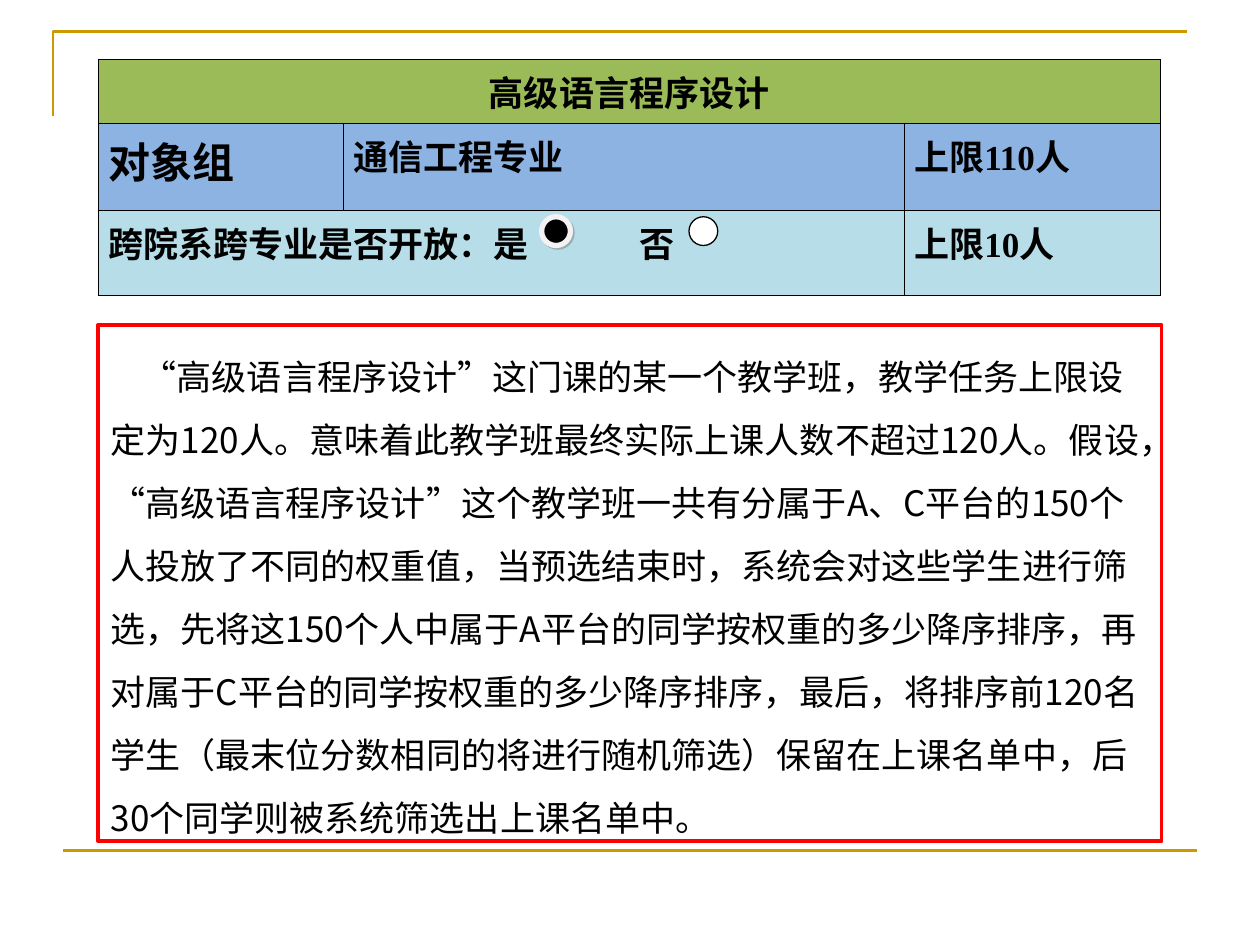
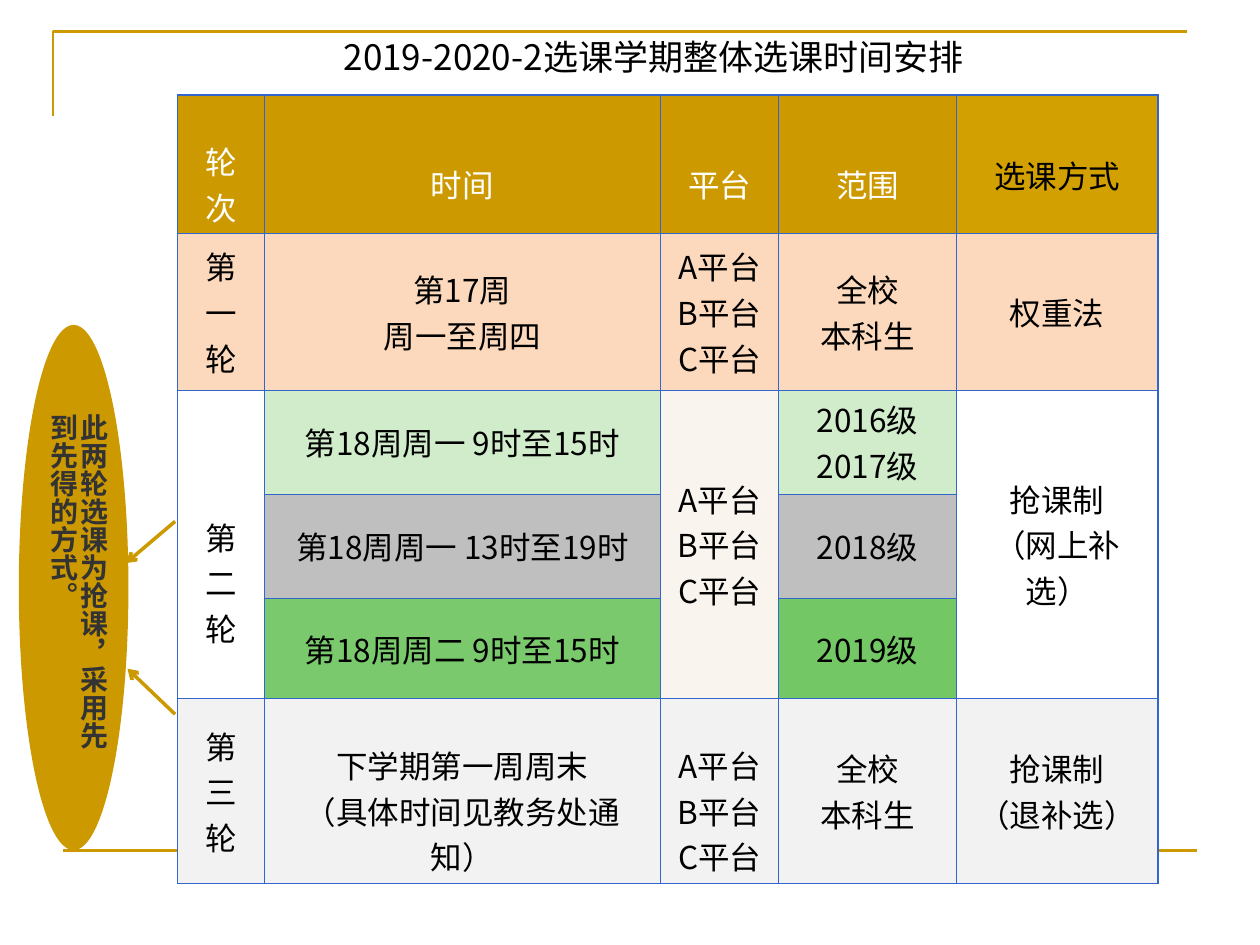
from dataclasses import dataclass

from lxml import etree
from pptx import Presentation
from pptx.dml.color import RGBColor
from pptx.enum.shapes import MSO_CONNECTOR, MSO_SHAPE
from pptx.enum.text import MSO_ANCHOR, MSO_AUTO_SIZE, PP_ALIGN
from pptx.oxml.ns import qn
from pptx.util import Cm, Pt

OVAL, RECTANGLE = MSO_SHAPE.OVAL, MSO_SHAPE.RECTANGLE
STRAIGHT = MSO_CONNECTOR.STRAIGHT
TOP, MIDDLE = MSO_ANCHOR.TOP, MSO_ANCHOR.MIDDLE
NO_AUTOFIT = MSO_AUTO_SIZE.NONE
LEFT, CENTER, JUSTIFY = PP_ALIGN.LEFT, PP_ALIGN.CENTER, PP_ALIGN.JUSTIFY


@dataclass(frozen=True)
class Theme:
    """Colours, fonts and type sizes of the deck."""
    gold: str = "CC9900"
    bright_gold: str = "D2A000"
    black: str = "000000"
    white: str = "FFFFFF"
    charcoal: str = "333333"
    red: str = "FF0000"
    rim: str = "F2F2F2"
    shade: str = "7F7F7F"
    grid: str = "3366CC"
    course: str = "9BBB59"
    group: str = "8DB3E2"
    open_group: str = "B6DDE8"
    first_round: str = "FCD9BC"
    platforms: str = "F9F4EE"
    seniors: str = "D0ECCB"
    second_years: str = "BFBFBF"
    freshmen: str = "7AC96C"
    freshmen_scope: str = "73C764"
    third_round: str = "F2F2F2"
    sans: str = "Noto Sans CJK SC"
    serif: str = "Times New Roman"
    heading: int = 24
    body: int = 20
    cell: int = 18
    note: int = 16


THEME = Theme()


@dataclass(frozen=True)
class Box:
    """A rectangle in centimetres."""
    left: float
    top: float
    width: float
    height: float

    def lengths(self):
        """Return left, top, width and height as lengths."""
        return Cm(self.left), Cm(self.top), Cm(self.width), Cm(self.height)

    def inner_box(self, left, top, width, height):
        """Return a box placed relative to this one."""
        return Box(self.left + left, self.top + top, width, height)


def rgb(colour):
    """Turn a hex string into a colour."""
    return RGBColor.from_string(colour)


def style(para, size, colour=THEME.black, font=THEME.sans, bold=False, align=LEFT):
    """Format a whole paragraph, East Asian font included."""
    para.alignment = align
    para.font.size, para.font.bold = Pt(size), bold
    para.font.color.rgb = rgb(colour)
    para.font.name = font
    defaults = para._p.pPr.find(qn("a:defRPr"))
    etree.SubElement(defaults, qn("a:ea"), typeface=THEME.sans)


def set_margins(target, left, top, right, bottom):
    """Set the four text margins of a frame or cell."""
    target.margin_left, target.margin_top = Cm(left), Cm(top)
    target.margin_right, target.margin_bottom = Cm(right), Cm(bottom)


def paint(shape, fill=None, line=None, width=1):
    """Give a shape a flat fill and outline, without shadow."""
    shape.shadow.inherit = False
    if fill:
        shape.fill.solid()
        shape.fill.fore_color.rgb = rgb(fill)
    else:
        shape.fill.background()
    if line:
        shape.line.color.rgb = rgb(line)
        shape.line.width = Pt(width)
    else:
        shape.line.fill.background()


def add_line(page, start, end, width, arrow=False):
    """Draw a straight gold line, with an arrowhead if wanted."""
    line = page.shapes.add_connector(STRAIGHT, *map(Cm, start + end))
    line.line.color.rgb = rgb(THEME.gold)
    line.line.width = Pt(width)
    properties = line._element.spPr
    if arrow:
        etree.SubElement(properties.find(qn("a:ln")), qn("a:tailEnd"), type="arrow")
    etree.SubElement(properties, qn("a:effectLst"))


def add_frame(page, box):
    """Draw the gold corner and the lower rule shared by all pages."""
    right, corner = box.left + box.width, box.top + 1.7
    outline = page.shapes.build_freeform(Cm(box.left), Cm(corner))
    outline.add_line_segments(
        [(Cm(box.left), Cm(box.top)), (Cm(right), Cm(box.top))], close=False)
    paint(outline.convert_to_shape(), line=THEME.gold, width=1.5)
    bottom = box.top + box.height
    add_line(page, (box.left + 0.2, bottom), (right + 0.2, bottom), 1.5)


def add_grid(page, box, columns, rows):
    """Add an unstyled table with the given column and row sizes."""
    table = page.shapes.add_table(len(rows), len(columns), *box.lengths()).table
    table.first_row = table.horz_banding = False
    for column, width in zip(table.columns, columns):
        column.width = Cm(width)
    for row, height in zip(table.rows, rows):
        row.height = Cm(height)
    return table


def set_borders(table, colour, inner, outer):
    """Draw the inner and outer rules of a table."""
    last_row, last_column = len(table.rows) - 1, len(table.columns) - 1
    for r in range(last_row + 1):
        for c in range(last_column + 1):
            edges = {"lnL": c == 0, "lnR": c == last_column,
                     "lnT": r == 0, "lnB": r == last_row}
            properties = table.cell(r, c)._tc.get_or_add_tcPr()
            for tag, is_outer in edges.items():
                rule = etree.SubElement(properties, qn(f"a:{tag}"),
                                        w=str(Pt(outer if is_outer else inner)))
                fill = etree.SubElement(rule, qn("a:solidFill"))
                etree.SubElement(fill, qn("a:srgbClr"), val=colour)


def fill_cell(cell, text, fill):
    """Put text and a background into a cell and return its paragraphs."""
    cell.fill.solid()
    cell.fill.fore_color.rgb = rgb(fill)
    cell.text_frame.text = text
    return cell.text_frame.paragraphs


def add_course_table(page, box):
    """Add the course table with its quotas."""
    table = add_grid(page, box, [4.95, 11.3, 5.16], [1.3, 1.75, 1.72])
    set_borders(table, THEME.black, 0.45, 0.45)
    table.cell(0, 0).merge(table.cell(0, 2))
    table.cell(2, 0).merge(table.cell(2, 1))
    entries = [
        (0, 0, "高级语言程序设计", THEME.course, THEME.body, CENTER),
        (1, 0, "对象组", THEME.group, THEME.heading, JUSTIFY),
        (1, 1, "通信工程专业", THEME.group, THEME.body, JUSTIFY),
        (1, 2, "上限110人", THEME.group, THEME.body, JUSTIFY),
        (2, 0, "跨院系跨专业是否开放：是\t否", THEME.open_group, THEME.body, LEFT),
        (2, 2, "上限10人", THEME.open_group, THEME.body, JUSTIFY),
    ]
    for row, column, text, fill, size, align in entries:
        cell = table.cell(row, column)
        set_margins(cell, 0.2, 0.13, 0.2, 0.13)
        para = fill_cell(cell, text, fill)[0]
        if "\t" in text:
            tabs = etree.SubElement(para._p.get_or_add_pPr(), qn("a:tabLst"))
            etree.SubElement(tabs, qn("a:tab"), pos=str(Cm(10.72)), algn="l")
        style(para, size, font=THEME.serif, bold=True, align=align)


def add_choice_buttons(page, box):
    """Draw the chosen and the empty option button."""
    chosen = page.shapes.add_shape(OVAL, *box.inner_box(0, 0, 0.58, 0.58).lengths())
    paint(chosen, THEME.black, THEME.rim, 3)
    effects = chosen._element.spPr.find(qn("a:effectLst"))
    shadow = etree.SubElement(effects, qn("a:outerShdw"), blurRad="0",
                              dist=str(Pt(1.4)), dir="2700000")
    colour = etree.SubElement(shadow, qn("a:srgbClr"), val=THEME.shade)
    etree.SubElement(colour, qn("a:alpha"), val="50000")
    empty = page.shapes.add_shape(OVAL, *box.inner_box(2.97, 0, 0.58, 0.58).lengths())
    paint(empty, THEME.white, THEME.black, 0.75)


def add_explanation(page, box):
    """Add the red box that explains the screening."""
    panel = page.shapes.add_shape(RECTANGLE, *box.lengths())
    paint(panel, line=THEME.red, width=2)
    frame = panel.text_frame
    frame.word_wrap, frame.vertical_anchor = True, TOP
    set_margins(frame, 0.25, 0.2, 0.25, 0.05)
    frame.text = (
        "“高级语言程序设计”这门课的某一个教学班，教学任务上限设定为120人。"
        "意味着此教学班最终实际上课人数不超过120人。"
        "假设，“高级语言程序设计”这个教学班一共有分属于A、C平台的150个人投放了不同的权重值，"
        "当预选结束时，系统会对这些学生进行筛选，"
        "先将这150个人中属于A平台的同学按权重的多少降序排序，"
        "再对属于C平台的同学按权重的多少降序排序，"
        "最后，将排序前120名学生（最末位分数相同的将进行随机筛选）保留在上课名单中，"
        "后30个同学则被系统筛选出上课名单中。")
    para = frame.paragraphs[0]
    para.line_spacing = Pt(36)
    para._p.get_or_add_pPr().set("indent", str(Cm(0.63)))
    style(para, THEME.body)


def add_title(page, box, text):
    """Fill and place the title placeholder."""
    title = page.shapes.title
    title.left, title.top, title.width, title.height = box.lengths()
    frame = title.text_frame
    frame.text = text
    frame.auto_size, frame.vertical_anchor = NO_AUTOFIT, MIDDLE
    set_margins(frame, 0, 0, 0, 0)
    style(frame.paragraphs[0], THEME.body, align=CENTER)


def add_schedule(page, box):
    """Add the table of selection rounds."""
    table = add_grid(page, box, [1.75, 7.98, 2.39, 3.58, 4.06],
                     [2.79, 3.15, 2.1, 2.1, 2.02, 3.73])
    set_borders(table, THEME.grid, 0.45, 1.08)
    for column in (0, 2, 4):
        table.cell(2, column).merge(table.cell(4, column))
    platforms, everyone = "A平台\nB平台\nC平台", "全校\n本科生"
    texts = [
        ["轮次", "时间", "平台", "范围", "选课方式"],
        ["第\n一\n轮", "第17周\n周一至周四", platforms, everyone, "权重法"],
        ["第\n二\n轮", "第18周周一 9时至15时", platforms, "2016级\n2017级", "抢课制\n（网上补选）"],
        [None, "第18周周一 13时至19时", None, "2018级", None],
        [None, "第18周周二 9时至15时", None, "2019级", None],
        ["第\n三轮", "下学期第一周周末\n（具体时间见教务处通知）", platforms, everyone,
         "抢课制\n（退补选）"],
    ]
    row_fills = [THEME.gold, THEME.first_round, THEME.seniors,
                 THEME.second_years, THEME.freshmen, THEME.third_round]
    cell_fills = {(0, 4): THEME.bright_gold, (2, 0): THEME.white,
                  (2, 2): THEME.platforms, (2, 4): THEME.white,
                  (4, 3): THEME.freshmen_scope}
    lowered = (0.86, 0.08)
    margins = {(0, 0): lowered, (0, 1): lowered, (0, 2): lowered, (0, 3): lowered,
               (0, 4): (0.5, 0.08), (2, 0): (1.65, 0.13),
               (5, 1): lowered, (5, 2): lowered}
    for r, row in enumerate(texts):
        for c, text in enumerate(row):
            if text is None:
                continue
            cell = table.cell(r, c)
            cell.vertical_anchor = MIDDLE
            top, bottom = margins.get((r, c), (0.13, 0.13))
            set_margins(cell, 0.25, top, 0.25, bottom)
            colour = THEME.white if r == 0 and c < 4 else THEME.black
            for para in fill_cell(cell, text, cell_fills.get((r, c), row_fills[r])):
                style(para, THEME.cell, colour, align=CENTER)


def add_side_note(page, box):
    """Add the upright note and the arrows that lead to it."""
    for start, end in (((3.15, 3.96), (2.16, 4.8)), ((3.15, 7.85), (2.19, 6.93))):
        add_line(page, (box.left + start[0], box.top + start[1]),
                 (box.left + end[0], box.top + end[1]), 2, arrow=True)
    note = page.shapes.add_shape(OVAL, *box.lengths())
    paint(note, THEME.gold)
    frame = note.text_frame
    frame.word_wrap, frame.vertical_anchor = True, TOP
    set_margins(frame, 0.13, 0.25, 0.13, 0.25)
    frame._txBody.bodyPr.set("vert", "eaVert")
    frame.text = "此两轮选课为抢课，采用先到先得的方式。"
    para = frame.paragraphs[0]
    para.line_spacing = 0.88
    style(para, THEME.note, THEME.charcoal, bold=True, align=JUSTIFY)


def build_example_page(deck, frame):
    """Build the page with the screening example."""
    page = deck.slides.add_slide(deck.slide_layouts[6])
    add_frame(page, frame)
    add_course_table(page, Box(1.98, 1.19, 21.41, 4.77))
    add_choice_buttons(page, Box(10.92, 4.37, 3.55, 0.58))
    add_explanation(page, Box(1.98, 6.55, 21.44, 10.41))


def build_schedule_page(deck, frame):
    """Build the page with the selection timetable."""
    page = deck.slides.add_slide(deck.slide_layouts[5])
    add_frame(page, frame)
    add_title(page, Box(1.75, 0.62, 22.86, 1.04), "2019-2020-2选课学期整体选课时间安排")
    add_schedule(page, Box(3.58, 1.92, 19.76, 15.89))
    add_side_note(page, Box(0.38, 6.55, 2.21, 10.59))


def main():
    """Build and save the deck."""
    deck = Presentation()
    deck.slide_width, deck.slide_height = Cm(25.4), Cm(19.05)
    frame = Box(1.07, 0.64, 22.86, 16.51)
    build_example_page(deck, frame)
    build_schedule_page(deck, frame)
    deck.save("out.pptx")


if __name__ == "__main__":
    main()
